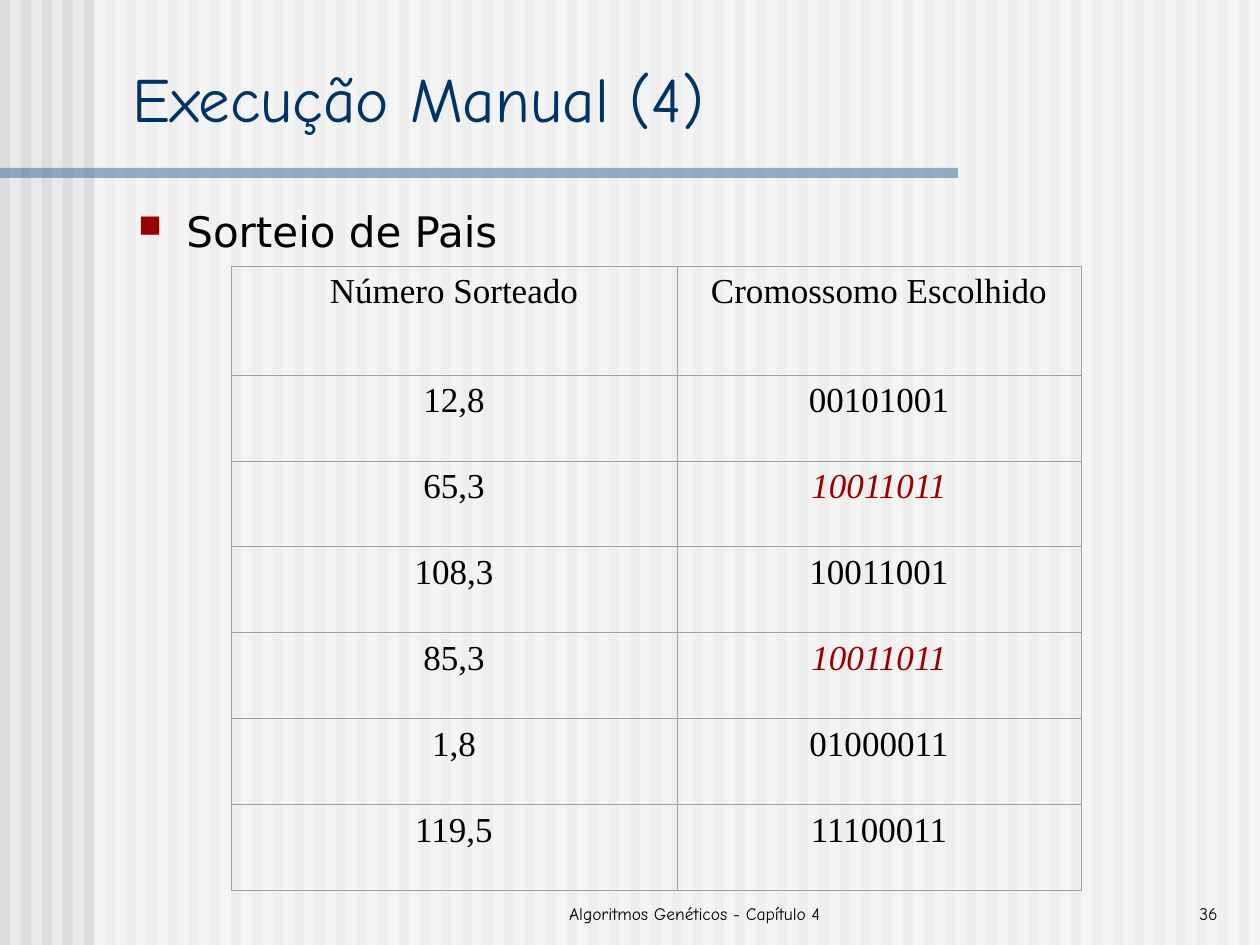
from dataclasses import dataclass

from lxml.etree import SubElement
from pptx import Presentation
from pptx.dml.color import RGBColor
from pptx.enum.shapes import MSO_SHAPE
from pptx.enum.text import MSO_ANCHOR, PP_ALIGN
from pptx.oxml.ns import qn
from pptx.slide import Slide
from pptx.table import _Cell
from pptx.text.text import _Paragraph
from pptx.util import Emu, Pt

PIXELS_PER_INCH = 126
COLORS = {
    "background": "EAEAEA",
    "stripe": "DDDDDD",
    "veil": "FFFFFF",
    "bar": "336699",
    "title": "003366",
    "text": "000000",
    "accent": "9A0000",
    "border": "A0A0A0",
}
TITLE_FONT, BODY_FONT, TABLE_FONT = "Comic Neue", "DejaVu Sans", "Times New Roman"


@dataclass(frozen=True)
class Box:
    left: int
    top: int
    width: int
    height: int


@dataclass(frozen=True)
class Label:
    text: str
    box: Box
    font: str
    size: int
    color: str = "text"
    align: PP_ALIGN = PP_ALIGN.LEFT
    anchor: MSO_ANCHOR = MSO_ANCHOR.BOTTOM


@dataclass(frozen=True)
class Draw:
    number: str
    chromosome: str
    repeated: bool = False


SLIDE_BOX = Box(0, 0, 1260, 945)
STRIPE_PITCH, STRIPE_WIDTH = 21, 10
VEIL_BOX = Box(95, 0, 1165, 945)
BAR_BOX = Box(0, 168, 958, 10)

TITLE = Label("Execução Manual (4)", Box(120, 53, 1125, 88), TITLE_FONT, 36, "title")
BODY = Label("Sorteio de Pais", Box(126, 199, 1118, 640), BODY_FONT, 24,
             anchor=MSO_ANCHOR.TOP)
FOOTER = Label("Algoritmos Genéticos - Capítulo 4", Box(495, 867, 399, 63),
               TITLE_FONT, 10, align=PP_ALIGN.CENTER)
PAGE_NUMBER = Label("36", Box(968, 867, 262, 63), TITLE_FONT, 10, align=PP_ALIGN.RIGHT)
BULLET_INDENT = 48

TABLE_LEFT, TABLE_TOP = 231, 266
COLUMN_WIDTHS = (446, 404)
HEADER_HEIGHT, ROW_HEIGHT = 109, 86
HEADER = Draw("Número Sorteado", "Cromossomo Escolhido")
DRAWS = (
    Draw("12,8", "00101001"),
    Draw("65,3", "10011011", repeated=True),
    Draw("108,3", "10011001"),
    Draw("85,3", "10011011", repeated=True),
    Draw("1,8", "01000011"),
    Draw("119,5", "11100011"),
)


def px(value: int) -> Emu:
    return Emu(round(value * 914400 / PIXELS_PER_INCH))


def place(box: Box) -> tuple[Emu, Emu, Emu, Emu]:
    return px(box.left), px(box.top), px(box.width), px(box.height)


def rgb(name: str) -> RGBColor:
    return RGBColor.from_string(COLORS[name])


def style_paragraph(paragraph: _Paragraph, font: str, size: int, color: str,
                    align: PP_ALIGN) -> None:
    paragraph.alignment = align
    paragraph.font.name = font
    paragraph.font.size = Pt(size)
    paragraph.font.color.rgb = rgb(color)


def add_rectangle(slide: Slide, box: Box, color: str, opacity: int = 100) -> None:
    shape = slide.shapes.add_shape(MSO_SHAPE.RECTANGLE, *place(box))
    shape.shadow.inherit = False
    shape.line.fill.background()
    shape.fill.solid()
    shape.fill.fore_color.rgb = rgb(color)
    if opacity < 100:
        fill_color = shape.fill._xPr.find(".//" + qn("a:srgbClr"))
        SubElement(fill_color, qn("a:alpha"), val=str(opacity * 1000))


def add_label(slide: Slide, label: Label) -> _Paragraph:
    frame = slide.shapes.add_textbox(*place(label.box)).text_frame
    frame.word_wrap = True
    frame.vertical_anchor = label.anchor
    paragraph = frame.paragraphs[0]
    paragraph.text = label.text
    style_paragraph(paragraph, label.font, label.size, label.color, label.align)
    return paragraph


def add_bullet(paragraph: _Paragraph) -> None:
    paragraph.space_before = Pt(6)
    properties = paragraph._p.get_or_add_pPr()
    properties.set("marL", str(px(BULLET_INDENT)))
    properties.set("indent", str(-px(BULLET_INDENT)))
    bullet_color = SubElement(properties, qn("a:buClr"))
    SubElement(bullet_color, qn("a:srgbClr"), val=COLORS["accent"])
    SubElement(properties, qn("a:buSzPct"), val="75000")
    SubElement(properties, qn("a:buChar"), char="■")
    # The schema wants the default run properties after the bullet
    properties.append(properties.find(qn("a:defRPr")))


def set_borders(cell: _Cell) -> None:
    properties = cell._tc.get_or_add_tcPr()
    for position, side in enumerate(("a:lnL", "a:lnR", "a:lnT", "a:lnB")):
        line = SubElement(properties, qn(side), w=str(Pt(0.6)))
        fill = SubElement(line, qn("a:solidFill"))
        SubElement(fill, qn("a:srgbClr"), val=COLORS["border"])
        properties.insert(position, line)


def fill_cell(cell: _Cell, text: str, highlighted: bool) -> None:
    cell.fill.background()
    set_borders(cell)
    paragraph = cell.text_frame.paragraphs[0]
    paragraph.text = text
    style_paragraph(paragraph, TABLE_FONT, 20, "accent" if highlighted else "text",
                    PP_ALIGN.CENTER)
    paragraph.font.italic = highlighted


def add_draw_table(slide: Slide) -> None:
    rows = (HEADER, *DRAWS)
    box = Box(TABLE_LEFT, TABLE_TOP, sum(COLUMN_WIDTHS),
              HEADER_HEIGHT + ROW_HEIGHT * len(DRAWS))
    table = slide.shapes.add_table(len(rows), len(COLUMN_WIDTHS), *place(box)).table
    table.first_row = table.horz_banding = False
    for column, width in zip(table.columns, COLUMN_WIDTHS):
        column.width = px(width)
    for index, draw in enumerate(rows):
        table.rows[index].height = px(ROW_HEIGHT if index else HEADER_HEIGHT)
        fill_cell(table.cell(index, 0), draw.number, False)
        fill_cell(table.cell(index, 1), draw.chromosome, draw.repeated)


def main() -> None:
    presentation = Presentation()
    presentation.slide_width = px(SLIDE_BOX.width)
    presentation.slide_height = px(SLIDE_BOX.height)
    slide = presentation.slides.add_slide(presentation.slide_layouts[6])

    # Striped background, lightened to the right of the margin
    slide.background.fill.solid()
    slide.background.fill.fore_color.rgb = rgb("background")
    for left in range(0, SLIDE_BOX.width, STRIPE_PITCH):
        add_rectangle(slide, Box(left, 0, STRIPE_WIDTH, SLIDE_BOX.height), "stripe")
    add_rectangle(slide, VEIL_BOX, "veil", opacity=50)
    add_rectangle(slide, BAR_BOX, "bar", opacity=50)

    # Heading and bullet
    add_bullet(add_label(slide, BODY))
    add_label(slide, TITLE)

    # Drawn numbers and the parents they select
    add_draw_table(slide)

    # Footer
    add_label(slide, FOOTER)
    add_label(slide, PAGE_NUMBER)

    presentation.save("out.pptx")


if __name__ == "__main__":
    main()
